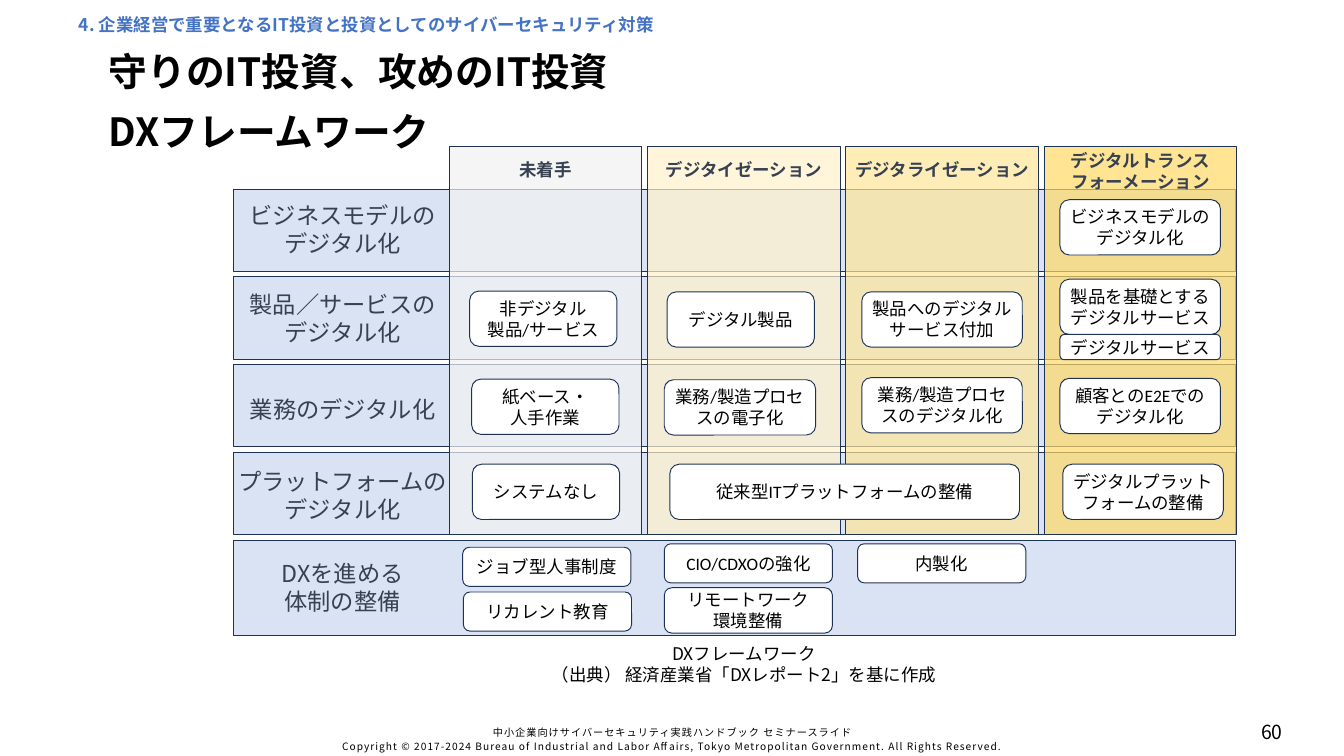
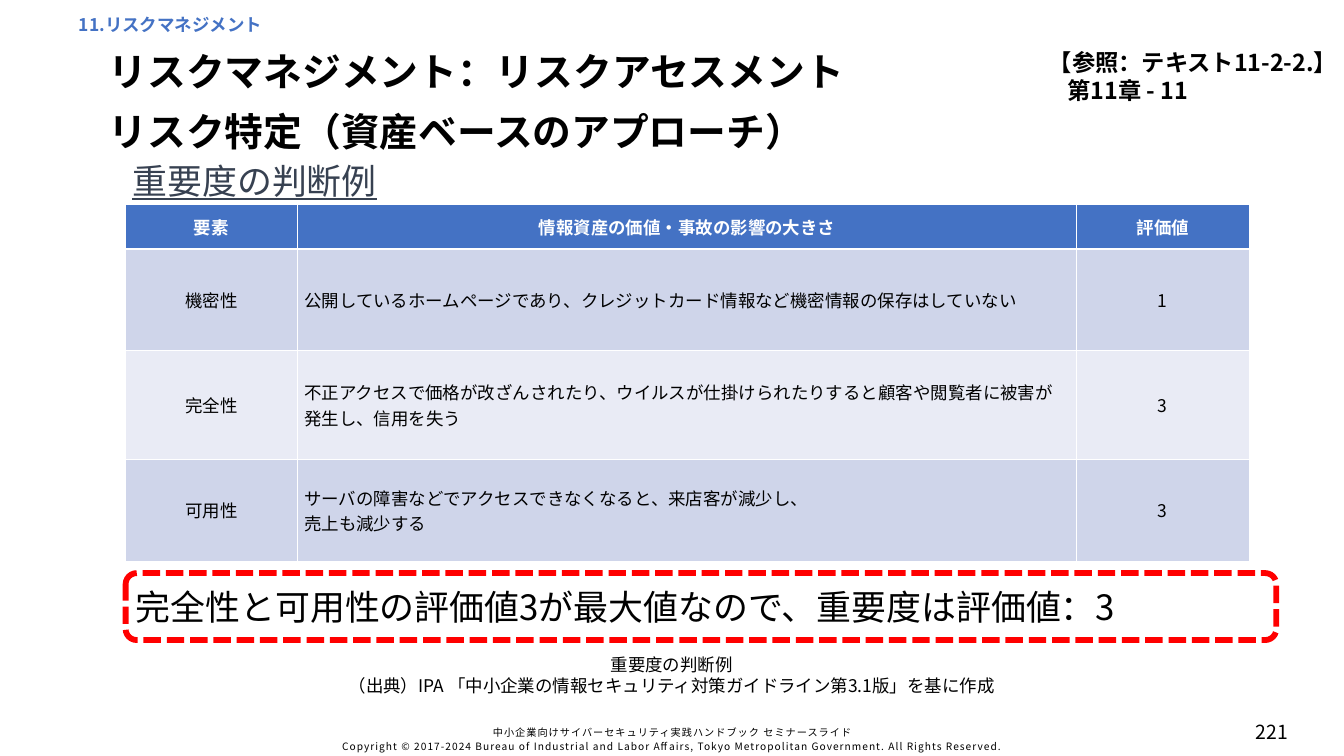
"""Build two seminar slides: a DX framework grid and an asset importance table."""
from dataclasses import dataclass, replace
from typing import NamedTuple

from lxml.etree import SubElement
from pptx import Presentation
from pptx.dml.color import RGBColor
from pptx.enum.dml import MSO_LINE_DASH_STYLE as Dash
from pptx.enum.shapes import MSO_AUTO_SHAPE_TYPE as ShapeType
from pptx.enum.text import MSO_VERTICAL_ANCHOR as Anchor, PP_PARAGRAPH_ALIGNMENT as Align
from pptx.oxml.ns import qn
from pptx.util import Pt

JAPANESE_FONT = "Noto Sans CJK JP"
BLACK, WHITE, BLUE, RED = "000000", "FFFFFF", "4472C4", "FF0000"
SLATE, NAVY, PALE_BLUE = "374151", "1E3256", "DAE3F3"
BANDS = ("CFD5EA", "E9EBF5")


class Box(NamedTuple):
    left: float
    top: float
    width: float
    height: float


@dataclass(frozen=True)
class TextStyle:
    size: float
    color: str = BLACK
    bold: bool = False
    underline: bool = False
    align: Align = Align.CENTER
    anchor: Anchor = Anchor.TOP
    font: str = JAPANESE_FONT
    line_spacing: float | Pt | None = None
    tracking: float = 0


class Stage(NamedTuple):
    title: str
    color: str
    title_top: float


class RowLabel(NamedTuple):
    text: str
    top: float
    height: float


class Card(NamedTuple):
    left: float
    top: float
    text: str
    width: float
    height: float = 57


CHAPTER = TextStyle(18, BLUE, bold=True, align=Align.LEFT, line_spacing=Pt(15))
TITLE = TextStyle(40, bold=True, align=Align.LEFT, anchor=Anchor.MIDDLE, line_spacing=0.9)
PAGE_NUMBER = TextStyle(20, anchor=Anchor.MIDDLE)
FOOTER = TextStyle(10.5, anchor=Anchor.MIDDLE, line_spacing=1.1, tracking=1.1)
CAPTION = TextStyle(18)
ROW_LABEL = TextStyle(24, SLATE)
STAGE_TITLE = TextStyle(18, SLATE, bold=True)
CARD = TextStyle(18, anchor=Anchor.MIDDLE, font="Calibri")
REFERENCE = TextStyle(24, bold=True)
SUBTITLE = TextStyle(36, SLATE, underline=True, align=Align.LEFT)
CONCLUSION = TextStyle(36, align=Align.JUSTIFY, anchor=Anchor.MIDDLE)
TABLE_HEAD = TextStyle(18, WHITE, bold=True, anchor=Anchor.MIDDLE)
TABLE_BODY = TextStyle(18, anchor=Anchor.MIDDLE)

FOOTER_TEXT = (
    "中小企業向けサイバーセキュリティ実践ハンドブック セミナースライド\n"
    "Copyright © 2017-2024 Bureau of Industrial and Labor Affairs, "
    "Tokyo Metropolitan Government. All Rights Reserved."
)

ROW_LEFT, ROW_TOP, ROW_PITCH, ROW_WIDTH = 241.2, 195, 90.5, 1034
ROW_HEIGHT, LAST_ROW_HEIGHT = 85, 98.6
STAGE_LEFT, STAGE_TOP, STAGE_PITCH = 463.7, 151.2, 204.5
STAGE_WIDTH, STAGE_HEIGHT = 198.7, 400.3

STAGES = (
    Stage("未着手", "F2F2F2", 160),
    Stage("デジタイゼーション", "FFF2CC", 160),
    Stage("デジタライゼーション", "FFE699", 160),
    Stage("デジタルトランスフォーメーション", "FFD966", 151.2),
)
ROW_LABELS = (
    RowLabel("ビジネスモデルの\nデジタル化", 204.5, 65.5),
    RowLabel("製品／サービスの\nデジタル化", 296, 65.5),
    RowLabel("業務のデジタル化", 404, 36),
    RowLabel("プラットフォームの\nデジタル化", 478.8, 65.5),
    RowLabel("DXを進める\n体制の整備", 573, 65.5),
)
CARDS = (
    Card(484.6, 300.2, "非デジタル\n製品/サービス", 152),
    Card(486.7, 391, "紙ベース・\n人手作業", 152),
    Card(487.4, 478.8, "システムなし", 152),
    Card(688.3, 301, "デジタル製品", 152),
    Card(685.4, 391.7, "業務/製造プロセスの電子化", 156.2),
    Card(691.2, 478.8, "従来型ITプラットフォームの整備", 360.7),
    Card(889.2, 301, "製品へのデジタルサービス付加", 165.6),
    Card(889.2, 389.5, "業務/製造プロセスのデジタル化", 165.6),
    Card(1093.7, 206, "ビジネスモデルのデジタル化", 165.6),
    Card(1093.7, 288, "製品を基礎とするデジタルサービス", 165.6),
    Card(1093.7, 345, "デジタルサービス", 165.6, 26),
    Card(1093.7, 390.2, "顧客とのE2Eでの\nデジタル化", 165.6),
    Card(1096.6, 478.8, "デジタルプラットフォームの整備", 165.6),
    Card(477.4, 564.5, "ジョブ型人事制度", 173.5, 40.3),
    Card(478.1, 610.6, "リカレント教育", 173.5, 40.3),
    Card(685.4, 560.9, "CIO/CDXOの強化", 173.5, 40.3),
    Card(685.4, 606.2, "リモートワーク\n環境整備", 173.5, 46.8),
    Card(884.9, 560.9, "内製化", 173.5, 40.3),
)

COLUMN_WIDTHS = (177.1, 804.2, 177.8)
ROW_HEIGHTS = (46, 104.4, 112.3, 105.1)
TABLE_ROWS = (
    ("要素", "情報資産の価値・事故の影響の大きさ", "評価値"),
    ("機密性", "公開しているホームページであり、クレジットカード情報など機密情報の保存はしていない", "1"),
    ("完全性", "不正アクセスで価格が改ざんされたり、ウイルスが仕掛けられたりすると顧客や閲覧者に被害が発生し、信用を失う", "3"),
    ("可用性", "サーバの障害などでアクセスできなくなると、来店客が減少し、\n売上も減少する", "3"),
)


def rgb(color: str) -> RGBColor:
    return RGBColor.from_string(color)


def points(box: Box) -> list[Pt]:
    return [Pt(value) for value in box]


def write(frame, text: str, style: TextStyle) -> None:
    frame.word_wrap = True
    frame.vertical_anchor = style.anchor
    frame.text = text
    formats = {
        "name": style.font,
        "size": Pt(style.size),
        "bold": style.bold,
        "underline": style.underline,
    }
    for paragraph in frame.paragraphs:
        paragraph.alignment = style.align
        if style.line_spacing:
            paragraph.line_spacing = style.line_spacing
        for run in paragraph.runs:
            for name, value in formats.items():
                setattr(run.font, name, value)
            run.font.color.rgb = rgb(style.color)
            properties = run._r.get_or_add_rPr()
            SubElement(properties, qn("a:ea")).set("typeface", JAPANESE_FONT)
            if style.tracking:
                properties.set("spc", str(round(style.tracking * 100)))


def add_text(slide, box: Box, text: str, style: TextStyle):
    frame = slide.shapes.add_textbox(*points(box)).text_frame
    write(frame, text, style)
    return frame


def add_panel(slide, box: Box, fill: str | None, line: str = NAVY, line_width: float = 1,
              kind: ShapeType = ShapeType.RECTANGLE, opacity: int = 100):
    shape = slide.shapes.add_shape(kind, *points(box))
    shape.shadow.inherit = False
    shape.line.color.rgb = rgb(line)
    shape.line.width = Pt(line_width)
    if fill is None:
        shape.fill.background()
    else:
        shape.fill.solid()
        shape.fill.fore_color.rgb = rgb(fill)
    if opacity < 100:
        color = shape._element.spPr.find(qn("a:solidFill")).find(qn("a:srgbClr"))
        SubElement(color, qn("a:alpha")).set("val", str(opacity * 1000))
    return shape


def add_base_slide(presentation, chapter: str, titles: tuple[str, str], page: int):
    slide = presentation.slides.add_slide(presentation.slide_layouts[6])
    add_text(slide, Box(269.3, 743.8, 848.9, 36.7), FOOTER_TEXT, FOOTER)
    add_text(slide, Box(1251.4, 740.9, 121.7, 27.4), str(page), PAGE_NUMBER)
    frame = add_text(slide, Box(80.6, 20.2, 1258.6, 18), chapter, CHAPTER)
    for side in ("left", "top", "right", "bottom"):
        setattr(frame, f"margin_{side}", Pt(0.7 if side in ("left", "top") else 0))
    for top, title in zip((54.7, 115.9), titles):
        add_text(slide, Box(105.1, top, 1176.5, 44), title, TITLE)
    return slide


def build_framework_slide(presentation) -> None:
    slide = add_base_slide(presentation, "4. 企業経営で重要となるIT投資と投資としてのサイバーセキュリティ対策",
                           ("守りのIT投資、攻めのIT投資", "DXフレームワーク"), 60)
    last_row = len(ROW_LABELS) - 1
    for index in range(len(ROW_LABELS)):
        height = LAST_ROW_HEIGHT if index == last_row else ROW_HEIGHT
        add_panel(slide, Box(ROW_LEFT, ROW_TOP + index * ROW_PITCH, ROW_WIDTH, height), PALE_BLUE)
    for index, stage in enumerate(STAGES):
        left = STAGE_LEFT + index * STAGE_PITCH
        add_panel(slide, Box(left, STAGE_TOP, STAGE_WIDTH, STAGE_HEIGHT), stage.color, opacity=70)
        add_text(slide, Box(left, stage.title_top, STAGE_WIDTH, 29), stage.title, STAGE_TITLE)
    for label in ROW_LABELS:
        add_text(slide, Box(228.2, label.top, 250.6, label.height), label.text, ROW_LABEL)
    for card in CARDS:
        box = Box(card.left, card.top, card.width, card.height)
        shape = add_panel(slide, box, WHITE, kind=ShapeType.ROUNDED_RECTANGLE)
        write(shape.text_frame, card.text, CARD)
    add_text(slide, Box(320.4, 660.2, 894.2, 51),
             "DXフレームワーク\n（出典） 経済産業省「DXレポート2」を基に作成", CAPTION)


def set_borders(cell, widths: dict[str, float]) -> None:
    properties = cell._tc.get_or_add_tcPr()
    for position, (side, width) in enumerate(widths.items()):
        line = SubElement(properties, qn(f"a:ln{side}"), w=str(Pt(width)))
        fill = SubElement(line, qn("a:solidFill"))
        SubElement(fill, qn("a:srgbClr"), val=WHITE)
        properties.insert(position, line)


def add_importance_table(slide, left: float, top: float) -> None:
    box = Box(left, top, sum(COLUMN_WIDTHS), sum(ROW_HEIGHTS))
    table = slide.shapes.add_table(len(ROW_HEIGHTS), len(COLUMN_WIDTHS), *points(box)).table
    for column, width in zip(table.columns, COLUMN_WIDTHS):
        column.width = Pt(width)
    for row_index, (row, height, texts) in enumerate(zip(table.rows, ROW_HEIGHTS, TABLE_ROWS)):
        row.height = Pt(height)
        is_head = row_index == 0
        for column_index, (cell, text) in enumerate(zip(row.cells, texts)):
            style = TABLE_HEAD if is_head else TABLE_BODY
            if column_index == 1 and not is_head:
                style = replace(style, align=Align.LEFT)
            write(cell.text_frame, text, style)
            cell.vertical_anchor = style.anchor
            cell.fill.solid()
            cell.fill.fore_color.rgb = rgb(BLUE if is_head else BANDS[(row_index - 1) % 2])
            set_borders(cell, {"L": 1, "R": 1, "T": 3 if row_index == 1 else 1,
                               "B": 3 if is_head else 1})


def build_importance_slide(presentation) -> None:
    slide = add_base_slide(presentation, "11.リスクマネジメント",
                           ("リスクマネジメント：リスクアセスメント", "リスク特定（資産ベースのアプローチ）"), 221)
    reference = add_text(slide, Box(940.3, 46, 446.4, 65.5),
                         "【参照：テキスト11-2-2.】\n第11章 - 11", REFERENCE)
    reference.paragraphs[0].alignment = Align.RIGHT
    add_text(slide, Box(129.6, 160.6, 1216.8, 51), "重要度の判断例", SUBTITLE)
    add_importance_table(slide, 129.6, 211)
    callout = add_panel(slide, Box(129.6, 591.1, 1187.3, 69.1), None, RED, 6,
                        ShapeType.ROUNDED_RECTANGLE)
    callout.line.dash_style = Dash.SQUARE_DOT
    callout.line._ln.find(qn("a:prstDash")).set("val", "sysDash")
    write(callout.text_frame, "完全性と可用性の評価値3が最大値なので、重要度は評価値：3", CONCLUSION)
    add_text(slide, Box(310.3, 671, 765.4, 72.7),
             "重要度の判断例\n（出典）IPA 「中小企業の情報セキュリティ対策ガイドライン第3.1版」を基に作成", CAPTION)


def main() -> None:
    presentation = Presentation()
    presentation.slide_width, presentation.slide_height = Pt(1386.72), Pt(779.76)
    build_framework_slide(presentation)
    build_importance_slide(presentation)
    presentation.save("out.pptx")


if __name__ == "__main__":
    main()
